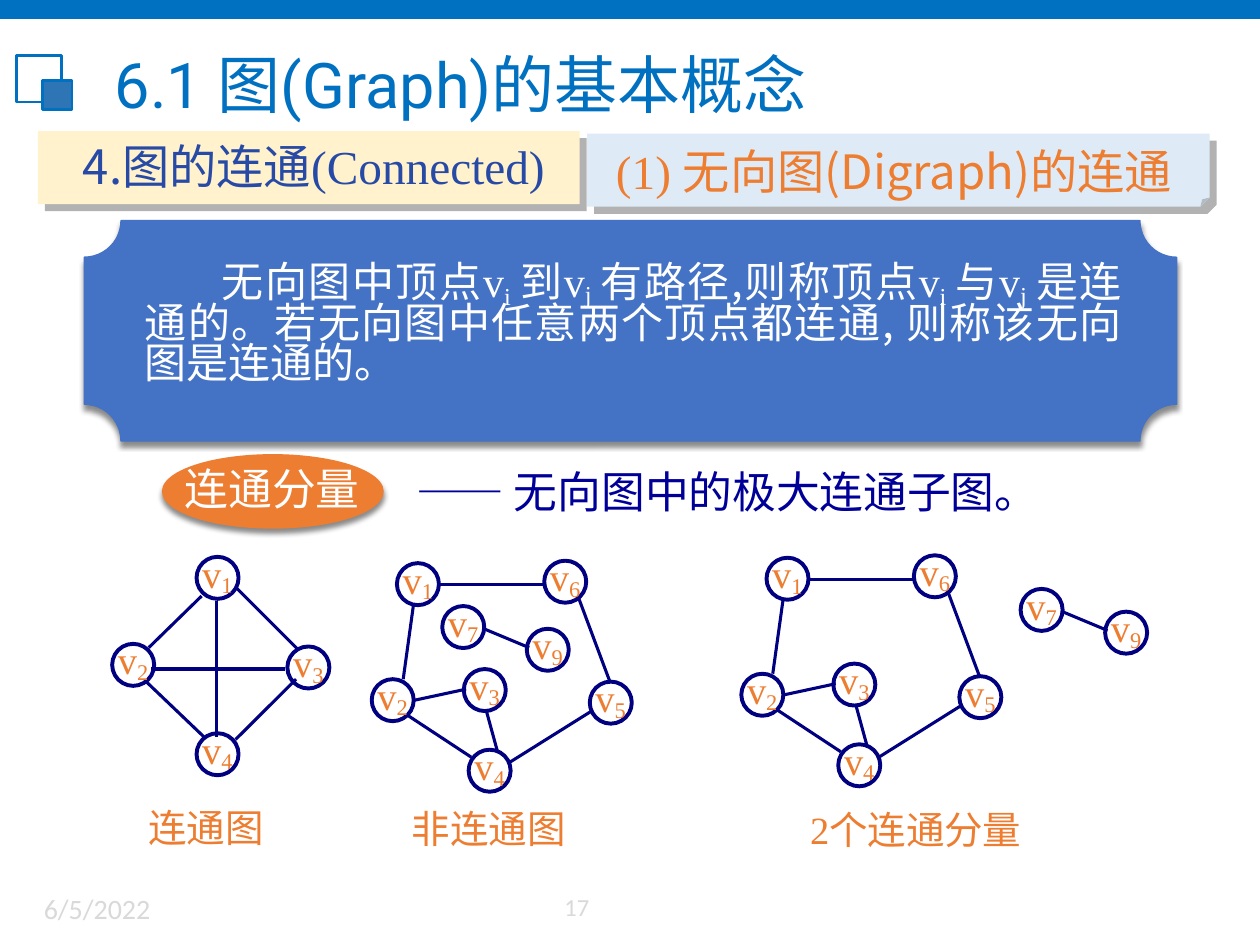
from typing import NamedTuple, Optional

from lxml import etree
from pptx import Presentation, util as u
from pptx.dml.color import RGBColor
from pptx.enum import shapes as kinds, text as t
from pptx.oxml import ns

COLORS = {"blue": "0070C0", "mark": "2E75B6", "grey": "D9D9D9", "pale_blue": "DEEBF7",
          "cream": "FFF2CC", "orange": "ED7D31", "royal": "264AA5", "white": "FFFFFF",
          "ink": "000099", "navy": "000080", "panel": "4472C4", "shade": "B2B2B2",
          "black": "000000"}
SERIF, CJK, SANS = "Times New Roman", "Noto Sans CJK SC", "Calibri"
Point = tuple[float, float]
Box = tuple[float, float, float, float]


class Run(NamedTuple):
    text: str
    font: str = CJK
    baseline: int = 0


class Shadow(NamedTuple):
    color: str
    opacity: int
    blur: float
    distance: float
    angle: int


class Graph(NamedTuple):
    vertices: dict[str, Point]
    edges: list[tuple[Point, Point]]


class Label(NamedTuple):
    box: Box
    runs: list[Run]
    size: float
    color: str


HARD = Shadow("shade", 100, 0, 5.7, 45)
SOFT = Shadow("black", 45, 3, 2.4, 90)

COMPLETE = Graph(
    {"1": (112.3, 318.2), "2": (64.1, 367.9), "4": (112.3, 419), "3": (164.2, 369.4)},
    [((86.4, 382.3), (162.7, 382.3)), ((123.8, 343.4), (123.8, 421.2)),
     ((115.2, 340.6), (85, 370.1)), ((169.2, 388.1), (134.6, 422.6)),
     ((134.6, 335.5), (170.6, 371.5)), ((83.5, 389.5), (117.4, 421.9))])
RING = Graph(
    {"1": (226.8, 321.8), "6": (311, 320.4), "2": (212.4, 388.1),
     "4": (267.8, 428.4), "5": (337, 389.5), "3": (265, 382.3)},
    [((236.2, 346.3), (230.4, 388.1)), ((251.3, 334.1), (311, 334.1)),
     ((338.4, 406.1), (290.2, 436.3)), ((233.3, 409), (269.3, 432.7)),
     ((330.5, 341.3), (348.5, 389.5)), ((236.2, 400.3), (266.4, 393.8)),
     ((277.9, 406.1), (284.4, 429.8))])
PAIR = Graph({"7": (252.7, 346.3), "9": (301, 359.3)}, [((276.5, 359.3), (302.4, 370.1))])

HEADINGS = [
    Label((344.9, 77.8, 388, 39.6), [Run("(1) ", SERIF), Run("无向图(Digraph)的连通")],
          27, "orange"),
    Label((40.3, 74.9, 345.6, 40.3), [Run("4.图的连通"), Run("(Connected)", SERIF)],
          27, "royal"),
    Label((98.6, 260.6, 155.5, 37.4), [Run("连通分量")], 25, "white"),
    Label((231.1, 262.1, 378, 37.4), [Run("—— ", SERIF), Run("无向图中的极大连通子图。")],
          25, "ink"),
]
CAPTIONS = [
    Label((455.8, 457.2, 167.8, 33.8), [Run("2", SERIF), Run("个连通分量")], 22, "orange"),
    Label((77.8, 455.8, 95, 33.8), [Run("连通图")], 22, "orange"),
    Label((228.2, 456.5, 131, 33.8), [Run("非连通图")], 22, "orange"),
]
FOOTERS = [
    Label((18, 506.2, 132.5, 28.8), [Run("6/5/2022", SANS)], 16, "grey"),
    Label((315.4, 506.2, 44.6, 27.4), [Run("17", SANS)], 14, "grey"),
]


def rgb(name: str) -> RGBColor:
    return RGBColor.from_string(COLORS[name])


def points(values) -> list[int]:
    return [u.Pt(value) for value in values]


def add_effects(properties, shadow: Optional[Shadow] = None) -> None:
    """Append an effect list, empty unless a shadow is given."""
    effects = etree.SubElement(properties, ns.qn("a:effectLst"))
    if shadow:
        outer = etree.SubElement(
            effects, ns.qn("a:outerShdw"), blurRad=str(u.Pt(shadow.blur)),
            dist=str(u.Pt(shadow.distance)), dir=str(shadow.angle * 60000),
            algn="ctr", rotWithShape="0")
        color = etree.SubElement(outer, ns.qn("a:srgbClr"), val=COLORS[shadow.color])
        etree.SubElement(color, ns.qn("a:alpha"), val=str(shadow.opacity * 1000))


def add_block(slide, kind, box: Box, fill: Optional[str] = None, line: Optional[str] = None,
              width: float = 0.79, shadow: Optional[Shadow] = None):
    shape = slide.shapes.add_shape(kind, *points(box))
    if fill:
        shape.fill.solid()
        shape.fill.fore_color.rgb = rgb(fill)
    else:
        shape.fill.background()
    if line:
        shape.line.color.rgb = rgb(line)
        shape.line.width = u.Pt(width)
    else:
        shape.line.fill.background()
    if shadow:
        add_effects(shape._element.spPr, shadow)
    else:
        shape.shadow.inherit = False
    return shape


def add_label(slide, label: Label, wrap: bool = True, alignment=t.PP_ALIGN.LEFT):
    shape = slide.shapes.add_textbox(*points(label.box))
    shape.text_frame.word_wrap = wrap
    paragraph = shape.text_frame.paragraphs[0]
    paragraph.alignment = alignment
    for part in label.runs:
        run = paragraph.add_run()
        run.text = part.text
        run.font.size = u.Pt(label.size)
        run.font.name = part.font
        run.font.color.rgb = rgb(label.color)
        properties = run.font._element
        etree.SubElement(properties, ns.qn("a:ea"), typeface=CJK)
        if part.baseline:
            properties.set("baseline", str(part.baseline * 1000))
    return shape


def add_graph(slide, graph: Graph, dx: float = 0, dy: float = 0) -> None:
    """Draw the rings, edges and vertex names, moved by dx and dy."""
    for x, y in graph.vertices.values():
        add_block(slide, kinds.MSO_SHAPE.OVAL, (x + dx, y + dy, 24, 24),
                  line="navy", width=2.25)
    for (x1, y1), (x2, y2) in graph.edges:
        edge = slide.shapes.add_connector(
            kinds.MSO_CONNECTOR.STRAIGHT, *points((x1 + dx, y1 + dy, x2 + dx, y2 + dy)))
        edge.line.color.rgb = rgb("navy")
        edge.line.width = u.Pt(1.75)
        add_effects(edge._element.spPr)
    for name, (x, y) in graph.vertices.items():
        label = Label((x + dx - 4.6, y + dy - 7.7, 33.1, 33.8),
                      [Run("v", SERIF), Run(name, SERIF, -14)], 22, "orange")
        add_label(slide, label, wrap=False, alignment=t.PP_ALIGN.CENTER)


def add_definition(slide) -> None:
    runs = [Run("无向图中顶点"), Run("v", SERIF), Run("i ", SERIF, -20),
            Run("到"), Run("v", SERIF), Run("j ", SERIF, -14),
            Run("有路径,则称顶点"), Run("v", SERIF), Run("i ", SERIF, -20),
            Run("与"), Run("v", SERIF), Run("j ", SERIF, -16),
            Run("是连通的。若无向图中任意两个顶点都连通, 则称该无向图是连通的。")]
    shape = add_label(slide, Label((75.6, 146.2, 572.4, 94.3), runs, 24, "white"),
                      alignment=t.PP_ALIGN.JUSTIFY)
    paragraph = shape.text_frame.paragraphs[0]
    paragraph.line_spacing = 0.8
    paragraph._p.get_or_add_pPr().set("indent", str(u.Pt(44)))


def main() -> None:
    presentation = Presentation()
    presentation.slide_width, presentation.slide_height = u.Pt(720), u.Pt(540)
    slide = presentation.slides.add_slide(presentation.slide_layouts[6])
    preset = kinds.MSO_SHAPE

    add_block(slide, preset.RECTANGLE, (0, 0, 720, 10.8), "blue")
    add_block(slide, preset.RECTANGLE, (9.4, 31.7, 25.9, 26.6), line="blue", width=1.5)
    add_block(slide, preset.RECTANGLE, (24.5, 46.1, 16.6, 16.6), "mark", "blue", 1.5)
    note = add_block(slide, preset.FOLDED_CORNER, (335.5, 76.3, 355.7, 41.8), "pale_blue",
                     shadow=HARD)
    guides = note._element.spPr.find(ns.qn("a:prstGeom")).find(ns.qn("a:avLst"))
    etree.SubElement(guides, ns.qn("a:gd"), name="adj", fmla="val 12500")
    add_block(slide, preset.RECTANGLE, (21.6, 74.9, 309.6, 41.8), "cream", shadow=HARD)
    add_block(slide, preset.OVAL, (92.9, 259.9, 126, 41.8), "orange", "orange", shadow=SOFT)
    add_block(slide, preset.PLAQUE, (48.2, 126, 624.2, 126), "panel", "panel", shadow=SOFT)
    for label in HEADINGS + CAPTIONS + FOOTERS:
        add_label(slide, label)
    add_definition(slide)

    add_graph(slide, COMPLETE)
    add_graph(slide, RING)
    add_graph(slide, PAIR)
    add_graph(slide, RING, 211.2, -3.1)
    add_graph(slide, PAIR, 330.5, -9.8)

    title = add_label(slide, Label((49.7, 18, 609.8, 59), [Run("6.1 图(Graph)的基本概念", "Roboto")],
                                   36, "blue"))
    title.text_frame.vertical_anchor = t.MSO_ANCHOR.MIDDLE
    title.text_frame.margin_left = u.Pt(16)
    presentation.save("out.pptx")


if __name__ == "__main__":
    main()
